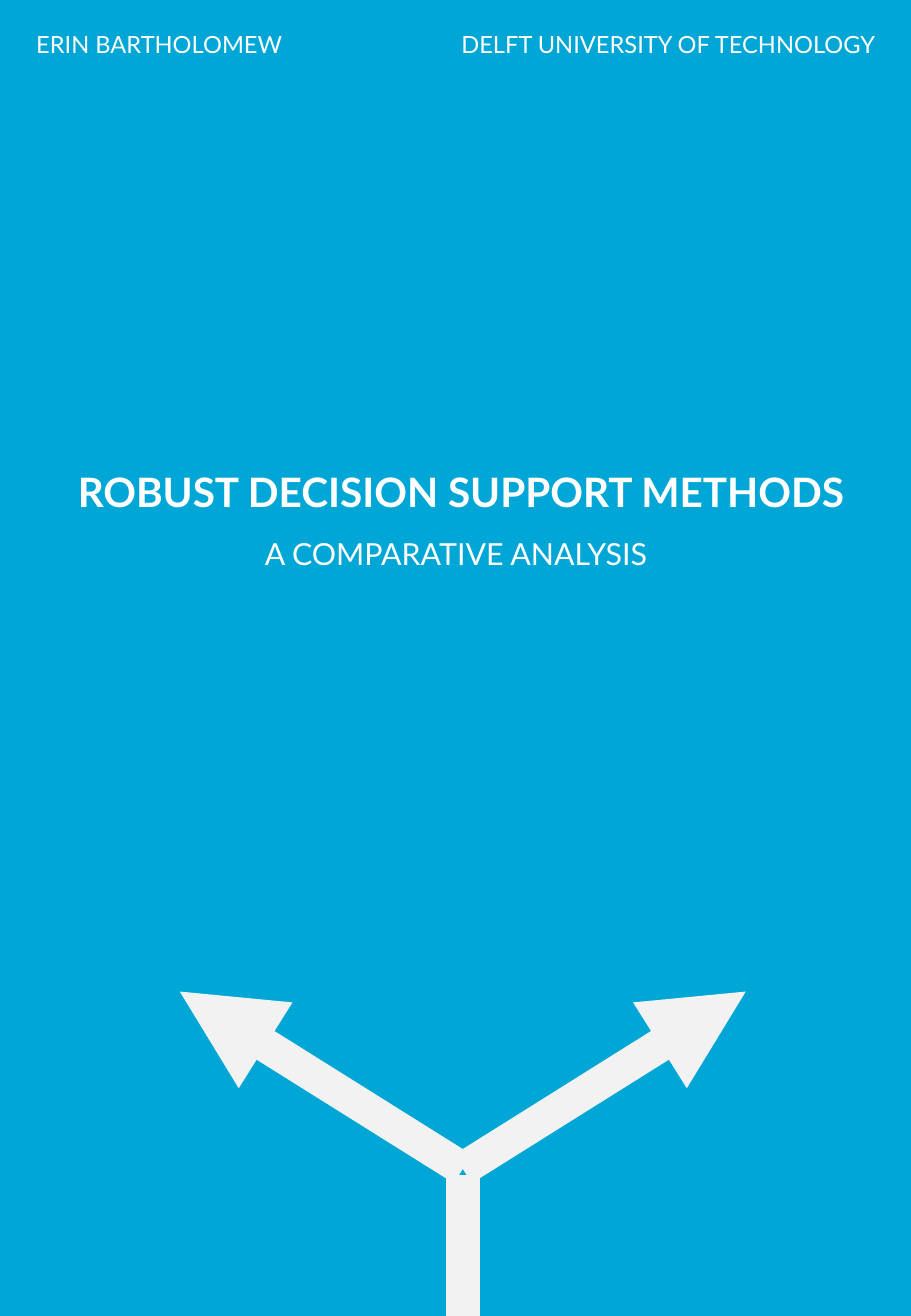
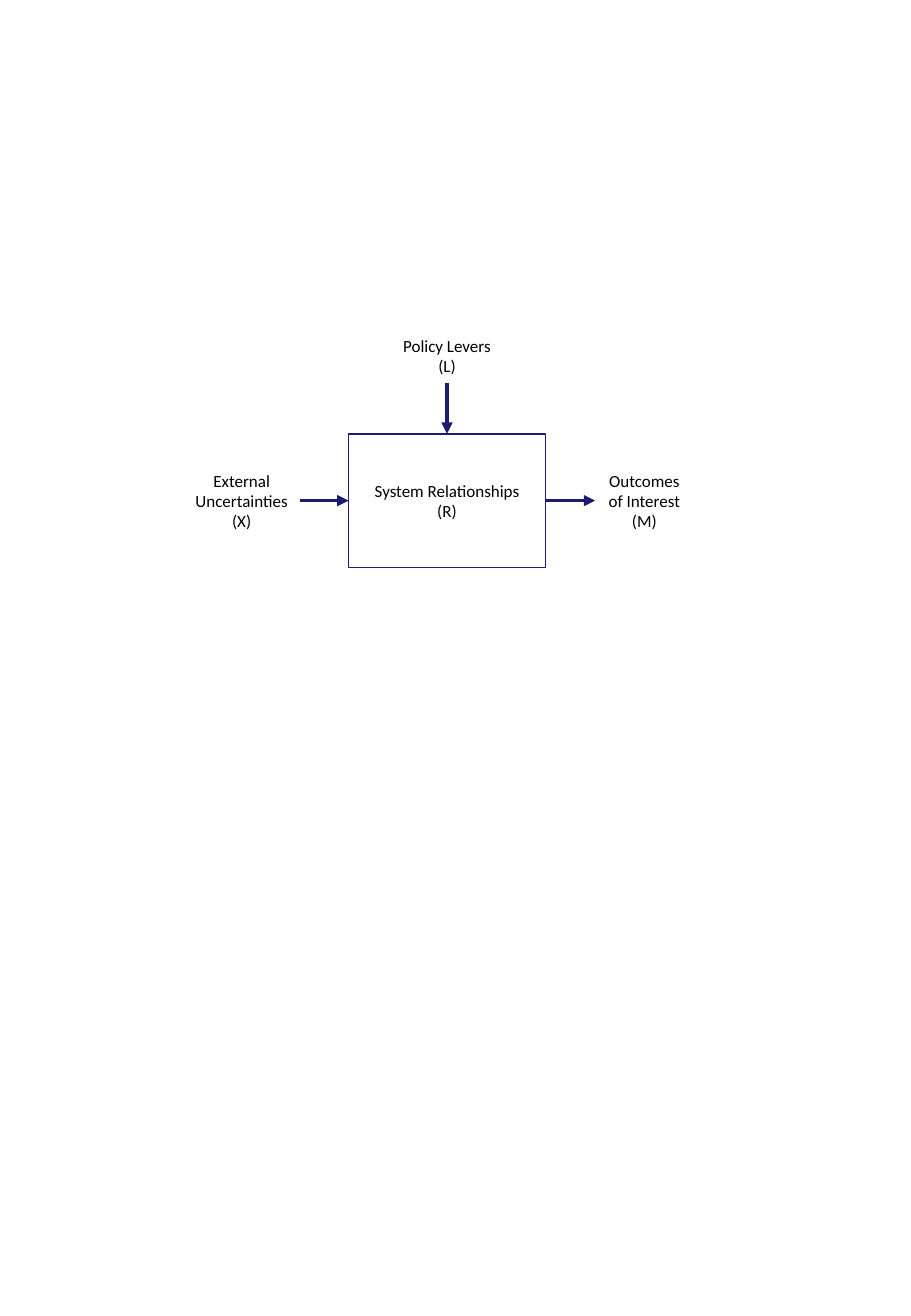
from dataclasses import dataclass

from lxml import etree
from pptx import Presentation
from pptx.dml.color import RGBColor
from pptx.enum.shapes import MSO_CONNECTOR, MSO_SHAPE
from pptx.enum.text import MSO_ANCHOR, MSO_AUTO_SIZE, PP_ALIGN
from pptx.oxml.ns import qn
from pptx.util import Inches, Pt

LINE = MSO_CONNECTOR.STRAIGHT
RECT = MSO_SHAPE.RECTANGLE
TOP, MIDDLE = MSO_ANCHOR.TOP, MSO_ANCHOR.MIDDLE
LEFT, CENTER = PP_ALIGN.LEFT, PP_ALIGN.CENTER
FIT, FIXED = MSO_AUTO_SIZE.SHAPE_TO_FIT_TEXT, MSO_AUTO_SIZE.NONE
NORTH, WEST, SOUTH, EAST = range(4)
COVER, BLANK = 0, 6
WIDTH, HEIGHT = 7.5, 10.83


@dataclass(frozen=True)
class Theme:
    cyan: str = "00A6D6"
    white: str = "FFFFFF"
    pale: str = "F2F2F2"
    navy: str = "1D1C73"
    black: str = "000000"
    head_font: str = "Lato"
    body_font: str = "Calibri"
    title: float = 24
    sub: float = 18
    head: float = 14
    label: float = 10.1
    road: float = 20
    arrow: float = 2.25
    frame: float = 1


class Deck:
    def __init__(self, theme):
        self.theme = theme
        self.prs = Presentation()
        self.prs.slide_width = Inches(WIDTH)
        self.prs.slide_height = Inches(HEIGHT)
        self.slide = None

    def page(self, layout, color):
        self.slide = self.prs.slides.add_slide(self.prs.slide_layouts[layout])
        fill = self.slide.background.fill
        fill.solid()
        fill.fore_color.rgb = RGBColor.from_string(color)

    def style(self, shape, text, size, font, color, align, bold=False):
        """Set the text of a shape and format its runs."""
        shape.text_frame.text = text
        for para in shape.text_frame.paragraphs:
            para.alignment = align
            para.space_before = Pt(0)
            for run in para.runs:
                run.font.size = Pt(size)
                run.font.name = font
                run.font.bold = bold
                run.font.color.rgb = RGBColor.from_string(color)

    def pad(self, frame, side, end):
        frame.margin_left = frame.margin_right = Inches(side)
        frame.margin_top = frame.margin_bottom = Inches(end)

    def heading(self, text, box, size, bold=False, slot=None):
        """Put one cover line in a placeholder slot, or in a new text box."""
        place = [Inches(v) for v in box]
        if slot is None:
            shape = self.slide.shapes.add_textbox(*place)
        else:
            shape = self.slide.placeholders[slot]
            shape.left, shape.top, shape.width, shape.height = place
        self.style(shape, text, size, self.theme.head_font,
                   self.theme.white, LEFT, bold)
        frame = shape.text_frame
        frame.word_wrap = False
        frame.auto_size = FIT
        frame.vertical_anchor = TOP
        self.pad(frame, 0.1, 0.05)

    def label(self, text, box, framed=False):
        place = [Inches(v) for v in box]
        if framed:
            shape = self.slide.shapes.add_shape(RECT, *place)
            shape.shadow.inherit = False
            shape.fill.background()
            shape.line.color.rgb = RGBColor.from_string(self.theme.navy)
            shape.line.width = Pt(self.theme.frame)
        else:
            shape = self.slide.shapes.add_textbox(*place)
        self.style(shape, text, self.theme.label, self.theme.body_font,
                   self.theme.black, CENTER)
        frame = shape.text_frame
        frame.word_wrap = True
        frame.auto_size = FIXED
        frame.vertical_anchor = MIDDLE
        self.pad(frame, 0.06, 0.03)
        return shape

    def line(self, start, end, color, width, arrow=True):
        link = self.slide.shapes.add_connector(
            LINE, *[Inches(v) for v in (*start, *end)])
        link.line.color.rgb = RGBColor.from_string(color)
        link.line.width = Pt(width)
        props = link._element.spPr
        if arrow:
            etree.SubElement(props.find(qn("a:ln")), qn("a:tailEnd"),
                             type="triangle")
        etree.SubElement(props, qn("a:effectLst"))
        return link

    def join(self, source, exit_side, target, entry_side):
        link = self.line((0, 0), (1, 1), self.theme.navy, self.theme.arrow)
        link.begin_connect(source, exit_side)
        link.end_connect(target, entry_side)


def cover(deck):
    theme = deck.theme
    deck.page(COVER, theme.cyan)
    mid, fork, reach = 3.81, 9.62, 2.33
    for side in (-reach, reach):
        deck.line((mid, fork), (mid + side, 8.16), theme.pale, theme.road)
    deck.line((mid, HEIGHT), (mid, 9.67), theme.pale, theme.road, arrow=False)
    deck.heading("ROBUST DECISION SUPPORT METHODS", (0.54, 3.79, 6.54, 0.5),
                 theme.title, bold=True, slot=0)
    deck.heading("A COMPARATIVE ANALYSIS", (2.08, 4.35, 3.45, 0.4),
                 theme.sub, slot=1)
    deck.heading("ERIN BARTHOLOMEW", (0.2, 0.2, 2.26, 0.34), theme.head)
    deck.heading("DELFT UNIVERSITY OF TECHNOLOGY", (3.7, 0.2, 3.68, 0.34),
                 theme.head)


def model(deck):
    deck.page(BLANK, deck.theme.white)
    left, top, width, height = 2.87, 3.57, 1.62, 1.1
    system = deck.label("System Relationships\n(R)",
                        (left, top, width, height), framed=True)
    levers = deck.label("Policy Levers\n(L)", (left, 2.7, width, 0.45))
    inputs = deck.label("External Uncertainties\n(X)",
                        (1.51, top, 0.96, height))
    results = deck.label("Outcomes of Interest\n(M)",
                         (4.9, top, 0.81, height))
    deck.join(levers, SOUTH, system, NORTH)
    deck.join(inputs, EAST, system, WEST)
    deck.join(system, EAST, results, WEST)


def main():
    deck = Deck(Theme())
    cover(deck)
    model(deck)
    deck.prs.save("out.pptx")


if __name__ == "__main__":
    main()
